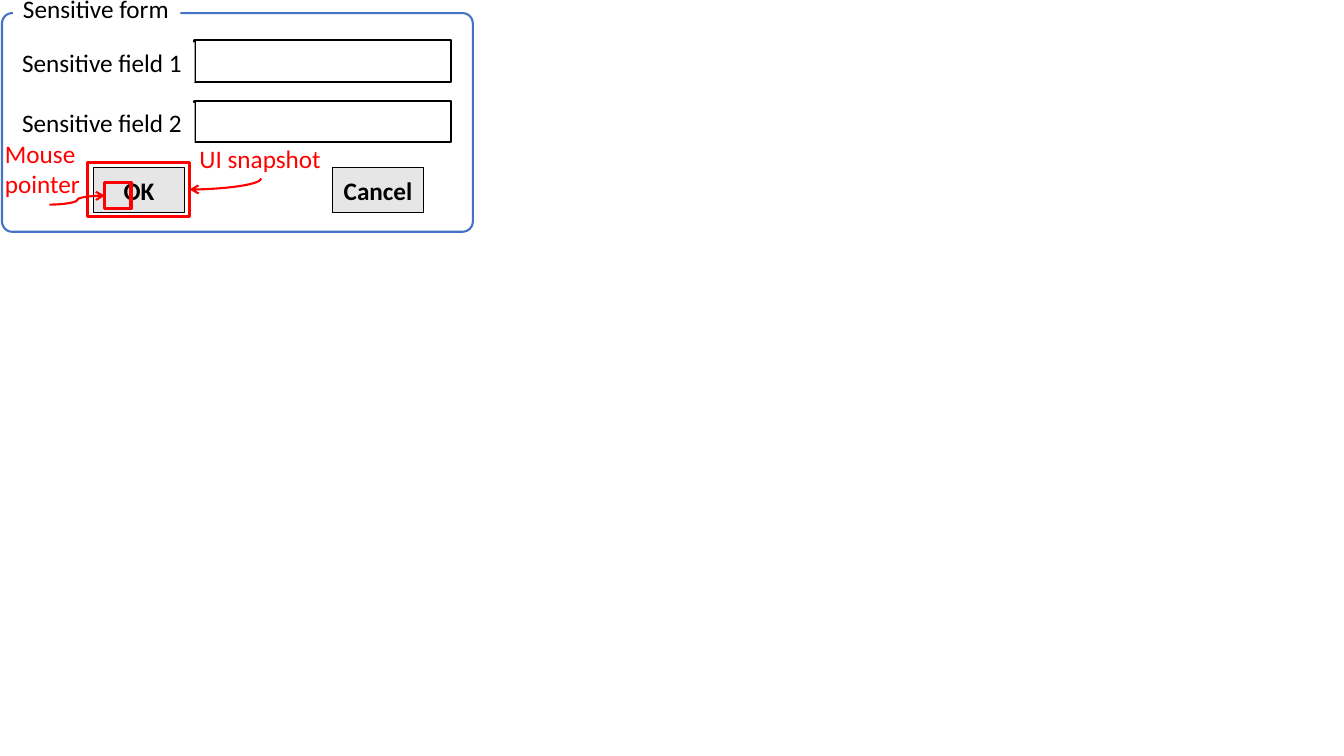
from lxml.etree import SubElement
from pptx import Presentation
from pptx.dml.color import RGBColor
from pptx.enum.shapes import MSO_CONNECTOR, MSO_SHAPE
from pptx.enum.text import MSO_ANCHOR, MSO_AUTO_SIZE, PP_ALIGN
from pptx.oxml.ns import qn
from pptx.util import Inches, Pt

BLACK, WHITE, GREY, BLUE, RED = "000000", "FFFFFF", "E7E6E6", "4472C4", "FF0000"


def color(hex_code):
    return RGBColor.from_string(hex_code)


def add_box(slide, left, top, width, height, fill=None, line=None, weight=1.5,
            outline=MSO_SHAPE.RECTANGLE):
    box = slide.shapes.add_shape(outline, Inches(left), Inches(top), Inches(width), Inches(height))
    box.shadow.inherit = False
    if fill:
        box.fill.solid()
        box.fill.fore_color.rgb = color(fill)
    else:
        box.fill.background()
    if line:
        box.line.color.rgb = color(line)
        box.line.width = Pt(weight)
    else:
        box.line.fill.background()
    return box


def write(holder, wording, ink=BLACK, bold=False, align=PP_ALIGN.LEFT,
          anchor=MSO_ANCHOR.TOP, wrap=False, grow=True):
    frame = holder.text_frame
    frame.word_wrap = wrap
    frame.vertical_anchor = anchor
    frame.auto_size = MSO_AUTO_SIZE.SHAPE_TO_FIT_TEXT if grow else MSO_AUTO_SIZE.NONE
    paragraph = frame.paragraphs[0]
    paragraph.alignment = align
    run = paragraph.add_run()
    run.text = wording
    run.font.name = "Calibri"
    run.font.size = Pt(18)
    run.font.bold = bold
    run.font.color.rgb = color(ink)


def add_button(slide, left, top, caption):
    button = add_box(slide, left, top, 0.9, 0.45, GREY, BLACK, 1)
    write(button, caption, bold=True, align=PP_ALIGN.CENTER, anchor=MSO_ANCHOR.MIDDLE,
          wrap=True, grow=False)


def add_field(slide, left, top, label):
    """Place an entry box with its label on the left."""
    add_box(slide, left + 1.81, top, 2.54, 0.41, WHITE, BLACK)
    write(add_box(slide, left, top + 0.02, 1.81, 0.4, WHITE), label)


def add_form(slide, left, top, width, height):
    add_box(slide, left, top, width, height, WHITE, BLUE,
            outline=MSO_SHAPE.ROUNDED_RECTANGLE).adjustments[0] = 0.047
    write(add_box(slide, left + 0.11, top - 0.25, 1.66, 0.4, WHITE), "Sensitive form")
    for row in range(2):
        add_field(slide, left + 0.1, top + 0.27 + 0.6 * row, f"Sensitive field {row + 1}")
    for button_left, caption in ((0.91, "OK"), (3.28, "Cancel")):
        add_button(slide, left + button_left, top + 1.53, caption)


def add_note(slide, left, top, width, height, wording, wrap):
    note = slide.shapes.add_textbox(Inches(left), Inches(top), Inches(width), Inches(height))
    write(note, wording, ink=RED, wrap=wrap)


def add_curved_arrow(slide, start, end):
    arrow = slide.shapes.add_connector(MSO_CONNECTOR.CURVE, *map(Inches, start + end))
    arrow.line.color.rgb = color(RED)
    arrow.line.width = Pt(1.5)
    SubElement(arrow.line._get_or_add_ln(), qn("a:tailEnd"), type="arrow")
    SubElement(arrow._element.spPr, qn("a:effectLst"))
    return arrow


def add_annotations(slide, left, top):
    """Mark the snapshot area and the pointer around the OK button at left, top."""
    add_box(slide, left + 0.11, top + 0.15, 0.26, 0.26, line=RED, weight=2.25)
    add_box(slide, left - 0.06, top - 0.05, 1.01, 0.54, line=RED, weight=2.25)
    add_note(slide, left - 0.98, top - 0.34, 1.08, 0.71, "Mouse pointer", wrap=True)
    add_note(slide, left + 0.95, top - 0.29, 1.42, 0.4, "UI snapshot", wrap=False)
    add_curved_arrow(slide, (left - 0.44, top + 0.37), (left + 0.11, top + 0.28))

    # A quarter turn makes the single bend leave downwards and arrive leftwards.
    snapshot_arrow = add_curved_arrow(slide, (left + 1.25, top - 0.19), (left + 1.36, top + 0.52))
    properties = snapshot_arrow._element.spPr
    properties.find(qn("a:xfrm")).set("rot", str(90 * 60000))
    properties.find(qn("a:prstGeom")).set("prst", "curvedConnector2")


def main():
    deck = Presentation()
    deck.slide_width, deck.slide_height = Inches(13.33), Inches(7.5)
    slide = deck.slides.add_slide(deck.slide_layouts[6])
    add_form(slide, 0.02, 0.13, 4.67, 2.17)
    add_annotations(slide, 0.93, 1.66)
    deck.save("out.pptx")


if __name__ == "__main__":
    main()
